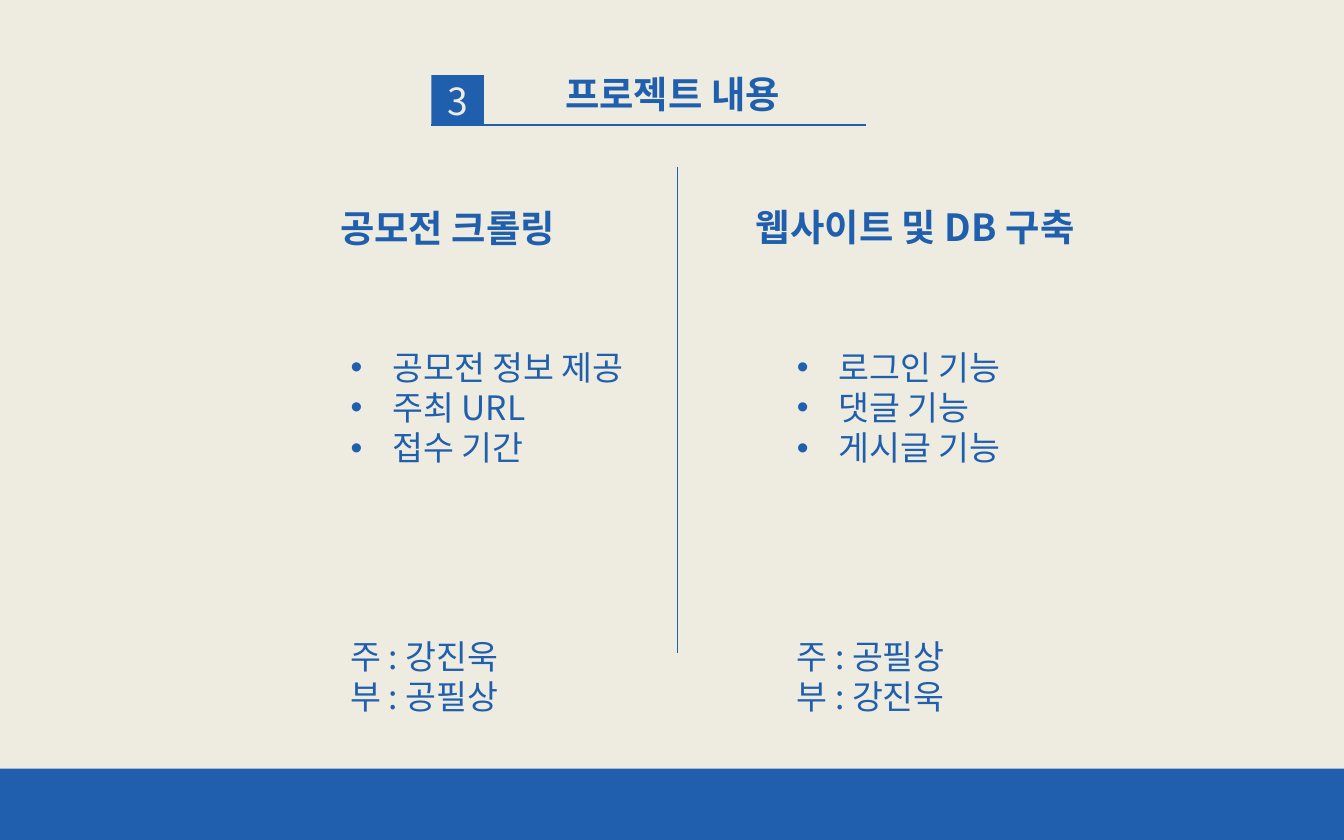
from lxml import etree
from pptx import Presentation
from pptx.dml.color import RGBColor
from pptx.enum.shapes import MSO_CONNECTOR, MSO_SHAPE
from pptx.enum.text import MSO_ANCHOR, MSO_AUTO_SIZE, PP_ALIGN
from pptx.oxml.ns import qn
from pptx.util import Inches, Pt

STRAIGHT = MSO_CONNECTOR.STRAIGHT
RECTANGLE = MSO_SHAPE.RECTANGLE
TOP, MIDDLE = MSO_ANCHOR.TOP, MSO_ANCHOR.MIDDLE
LEFT, CENTER = PP_ALIGN.LEFT, PP_ALIGN.CENTER
NO_FIT = MSO_AUTO_SIZE.NONE

TITLE = "프로젝트 내용"
NUMBER = "3"
COLUMNS = [
    {
        "heading": "공모전 크롤링",
        "heading_at": (0.83, 1.48),
        "left": 2.51,
        "features": ["공모전 정보 제공", "주최 URL", "접수 기간"],
        "roles": ["주 : 강진욱", "부 : 공필상"],
    },
    {
        "heading": "웹사이트 및 DB 구축",
        "heading_at": (4.31, 1.47),
        "left": 5.83,
        "features": ["로그인 기능", "댓글 기능", "게시글 기능"],
        "roles": ["주 : 공필상", "부 : 강진욱"],
    },
]

WIDTH, HEIGHT = 10, 6.25
BLUE, CREAM = "1F5FAD", "EEECE1"
FONT = "Noto Sans CJK KR"
BADGE = (3.21, 0.56, 0.39, 0.37)
BADGE_BOTTOM = BADGE[1] + BADGE[3]
BAND_HEIGHT = 0.53
DIVIDER_X = 5.04
FEATURES_TOP, ROLES_TOP = 2.53, 4.68
INDENT = 0.31

HEADING = {"size": Pt(20), "bold": True}
BODY = {"size": Pt(18), "bold": False}
NUMERAL = {"size": Pt(20), "bold": False}


def rgb(value):
    return RGBColor.from_string(value)


def write(holder, lines, style, color=BLUE, align=LEFT, anchor=TOP, bullet=False):
    frame = holder.text_frame
    settings = {"word_wrap": True, "auto_size": NO_FIT, "vertical_anchor": anchor}
    for key, value in settings.items():
        setattr(frame, key, value)
    frame.text = "\n".join(lines)
    for paragraph in frame.paragraphs:
        paragraph.alignment = align
        run = paragraph.runs[0]
        for key, value in {**style, "name": FONT}.items():
            setattr(run.font, key, value)
        run.font.color.rgb = rgb(color)
        etree.SubElement(run.font._element, qn("a:ea"), typeface=FONT)
        if bullet:
            properties = paragraph._p.get_or_add_pPr()
            properties.set("marL", str(Inches(INDENT)))
            properties.set("indent", str(-Inches(INDENT)))
            etree.SubElement(properties, qn("a:buFont"), typeface="Arial")
            etree.SubElement(properties, qn("a:buChar"), char="•")


def add_text(slide, box, lines, style, **options):
    write(slide.shapes.add_textbox(*map(Inches, box)), lines, style, **options)


def add_block(slide, box):
    block = slide.shapes.add_shape(RECTANGLE, *map(Inches, box))
    block.shadow.inherit = False
    block.fill.solid()
    block.fill.fore_color.rgb = rgb(BLUE)
    block.line.fill.background()
    return block


def add_rule(slide, ends, weight):
    rule = slide.shapes.add_connector(STRAIGHT, *map(Inches, ends))
    rule.line.color.rgb = rgb(BLUE)
    rule.line.width = Pt(weight)
    etree.SubElement(rule._element.spPr, qn("a:effectLst"))


def main():
    deck = Presentation()
    deck.slide_width, deck.slide_height = Inches(WIDTH), Inches(HEIGHT)
    slide = deck.slides.add_slide(deck.slide_layouts[5])
    slide.background.fill.solid()
    slide.background.fill.fore_color.rgb = rgb(CREAM)

    badge = add_block(slide, BADGE)
    write(badge, [NUMBER], NUMERAL, color=CREAM, align=CENTER, anchor=MIDDLE)
    add_rule(slide, (BADGE[0], BADGE_BOTTOM, 6.44, BADGE_BOTTOM), 1)
    add_block(slide, (0, HEIGHT - BAND_HEIGHT, WIDTH, BAND_HEIGHT))
    add_rule(slide, (DIVIDER_X, 1.24, DIVIDER_X, 4.86), 0.25)

    title = slide.shapes.title
    title_box = {"left": 3.42, "top": 0.48, "width": 3.17, "height": 0.44}
    for key, value in title_box.items():
        setattr(title, key, Inches(value))
    write(title, [TITLE], HEADING, align=CENTER)

    for column in COLUMNS:
        left = column["left"]
        add_text(slide, (*column["heading_at"], WIDTH / 2, 0.44),
                 [column["heading"]], HEADING, align=CENTER)
        add_text(slide, (left, FEATURES_TOP, 2.41, 1.01),
                 column["features"], BODY, bullet=True)
        add_text(slide, (left, ROLES_TOP, 2.28, 0.71), column["roles"], BODY)

    deck.save("out.pptx")


if __name__ == "__main__":
    main()
